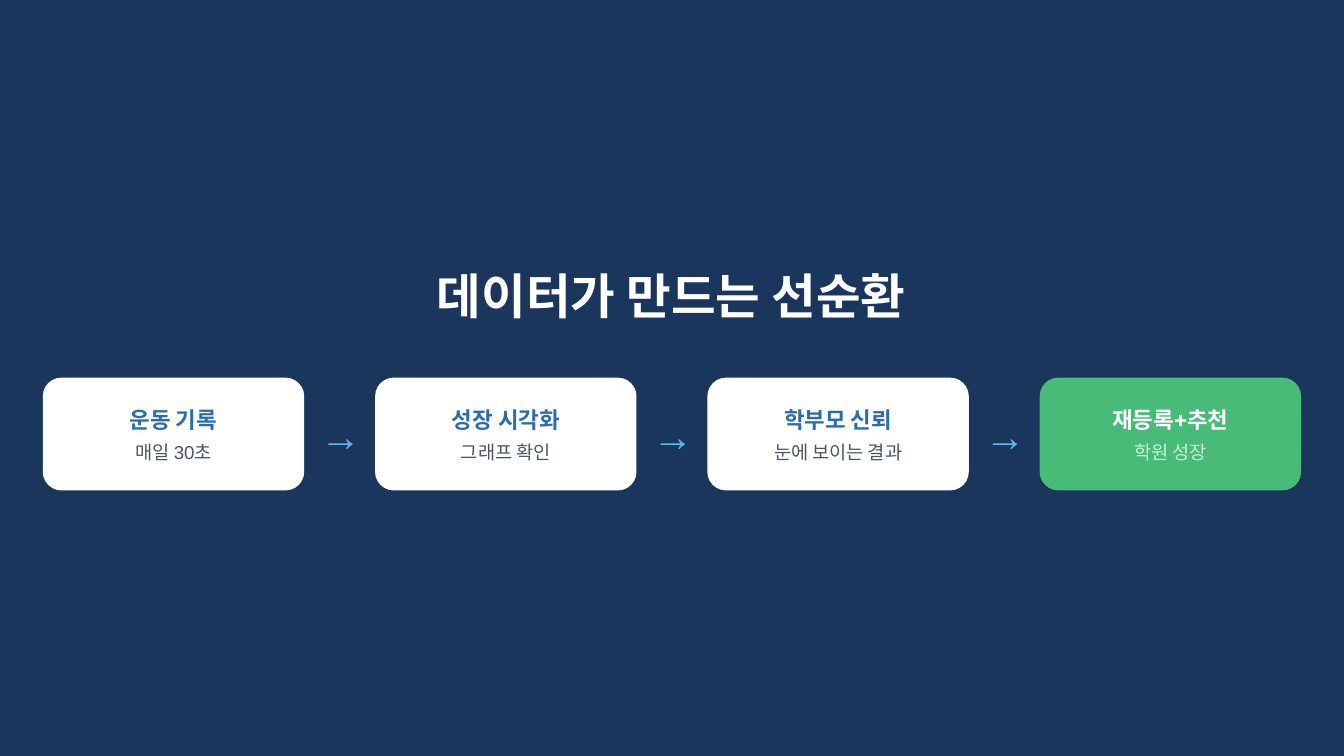
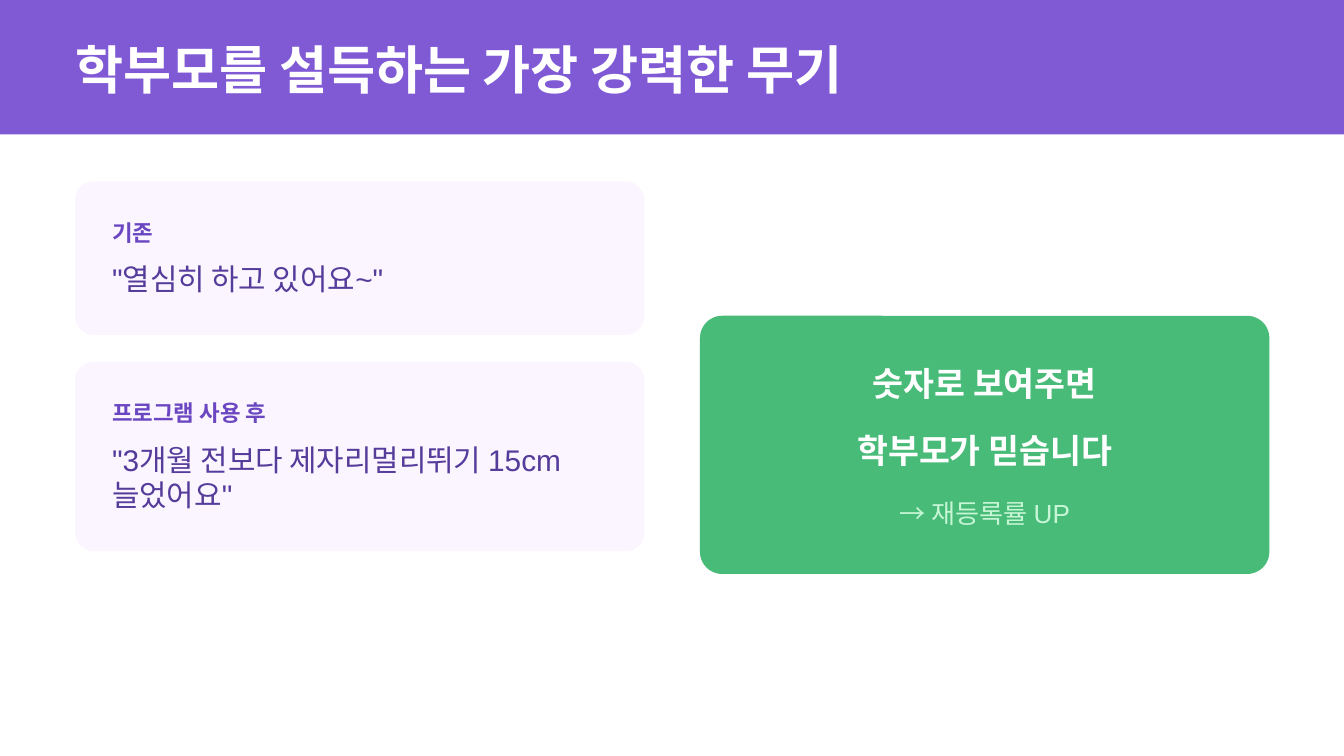
from pptx import Presentation
from pptx.dml.color import RGBColor
from pptx.enum import shapes, text
from pptx.util import Cm, Pt

# Content
CYCLE_TITLE = "데이터가 만드는 선순환"
CYCLE_STEPS = [
    ("운동 기록", "매일 30초"),
    ("성장 시각화", "그래프 확인"),
    ("학부모 신뢰", "눈에 보이는 결과"),
    ("재등록+추천", "학원 성장"),
]
PROOF_TITLE = "학부모를 설득하는 가장 강력한 무기"
QUOTES = [  # label, quote, card height
    ("기존", '"열심히 하고 있어요~"', 2.9),
    ("프로그램 사용 후", '"3개월 전보다 제자리멀리뛰기 15cm 늘었어요"', 3.58),
]
RESULT_LINES = [  # text, size, colour, bold
    ("숫자로 보여주면", 18, "white", True),
    ("학부모가 믿습니다", 18, "white", True),
    ("→ 재등록률 UP", 14, "mint", False),
]

# Shared style, lengths in centimetres
FONT = "Arial"
COLORS = {
    "white": "FFFFFF", "navy": "1A365D", "blue": "2B6CB0", "sky": "63B3ED",
    "gray": "4A5568", "green": "48BB78", "mint": "C6F6D5", "purple": "805AD5",
    "lilac": "FAF5FF", "violet": "6B46C1", "indigo": "553C9A",
}
SLIDE_W, SLIDE_H = 25.4, 14.29
LEFT, CENTER = text.PP_ALIGN.LEFT, text.PP_ALIGN.CENTER


def rgb(name):
    return RGBColor.from_string(COLORS[name])


def write(sp, content, size, color, bold=False, align=LEFT, after=0):
    tf = sp.text_frame
    tf.word_wrap = True
    tf.auto_size = text.MSO_AUTO_SIZE.NONE
    tf.vertical_anchor = text.MSO_ANCHOR.TOP
    tf.margin_left = tf.margin_right = tf.margin_top = tf.margin_bottom = 0
    p = tf.paragraphs[0]
    p.text = content
    p.alignment = align
    p.space_after = Pt(after)
    p.font.name, p.font.size, p.font.bold = FONT, Pt(size), bold
    p.font.color.rgb = rgb(color)


def add_text(s, x, y, w, h, *args, **style):
    write(s.shapes.add_textbox(Cm(x), Cm(y), Cm(w), Cm(h)), *args, **style)


def add_box(s, x, y, w, h, fill, radius=0):
    kind = shapes.MSO_SHAPE.ROUNDED_RECTANGLE if radius else shapes.MSO_SHAPE.RECTANGLE
    sp = s.shapes.add_shape(kind, Cm(x), Cm(y), Cm(w), Cm(h))
    if radius:
        sp.adjustments[0] = radius / min(w, h)
    sp.fill.solid()
    sp.fill.fore_color.rgb = rgb(fill)
    sp.line.fill.background()
    sp.shadow.inherit = False
    return sp


def add_slide(prs, background, title, x, y, w, h, size, **style):
    s = prs.slides.add_slide(prs.slide_layouts[5])
    s.background.fill.solid()
    s.background.fill.fore_color.rgb = rgb(background)
    sp = s.shapes.title
    sp.left, sp.top, sp.width, sp.height = Cm(x), Cm(y), Cm(w), Cm(h)
    write(sp, title, size, "white", bold=True, **style)
    return s


def build_cycle(prs):
    s = add_slide(prs, "navy", CYCLE_TITLE, 7.98, 5.03, 9.42, 1.07, 26,
                  align=CENTER, after=30)
    margin, top, card_w, card_h, inset = 0.81, 7.14, 4.94, 2.13, 0.49
    last = len(CYCLE_STEPS) - 1
    pitch = (SLIDE_W - 2 * margin - card_w) / last
    for i, (name, detail) in enumerate(CYCLE_STEPS):
        x = margin + i * pitch
        fill, name_color, detail_color = (
            ("green", "white", "mint") if i == last else ("white", "blue", "gray"))
        add_box(s, x, top, card_w, card_h, fill, radius=0.35)
        inner_w = card_w - 2 * inset
        add_text(s, x + inset, top + 0.53, inner_w, 0.51, name, 12, name_color,
                 bold=True, align=CENTER, after=5)
        add_text(s, x + inset, top + 1.19, inner_w, 0.41, detail, 10, detail_color,
                 align=CENTER)
        if i < last:
            add_text(s, x + card_w + 0.3, top + 0.61, 0.79, 0.89, "→", 22, "sky")


def build_proof(prs):
    margin, card_w = 1.42, 10.76
    s = add_slide(prs, "white", PROOF_TITLE, margin, 0.71, 23.04, 1.14, 28)
    # Header band goes behind the title
    band = add_box(s, 0, 0, SLIDE_W, 2.54, "purple")
    s.shapes.title.element.addprevious(band.element)

    # Before and after quotes
    y, inset, gap = 3.43, 0.7, 0.51
    for label, quote, h in QUOTES:
        add_box(s, margin, y, card_w, h, "lilac", radius=0.35)
        x, w = margin + inset, 9.53
        add_text(s, x, y + 0.71, w, 0.51, label, 12, "violet", bold=True, after=8)
        add_text(s, x, y + 1.5, w, h - 2.21, quote, 16, "indigo")
        y += h + gap

    # Result card
    x, y, inset = SLIDE_W - margin - card_w + 0.01, 5.97, 0.79
    add_box(s, x, y, card_w, 4.88, "green", radius=0.42)
    for i, (line, size, color, bold) in enumerate(RESULT_LINES):
        add_text(s, x + inset, y + 0.89 + i * 1.27, card_w - 2 * inset, 0.74,
                 line, size, color, bold=bold, align=CENTER, after=15 if bold else 0)


def main():
    prs = Presentation()
    prs.slide_width, prs.slide_height = Cm(SLIDE_W), Cm(SLIDE_H)
    build_cycle(prs)
    build_proof(prs)
    prs.save("out.pptx")


if __name__ == "__main__":
    main()
